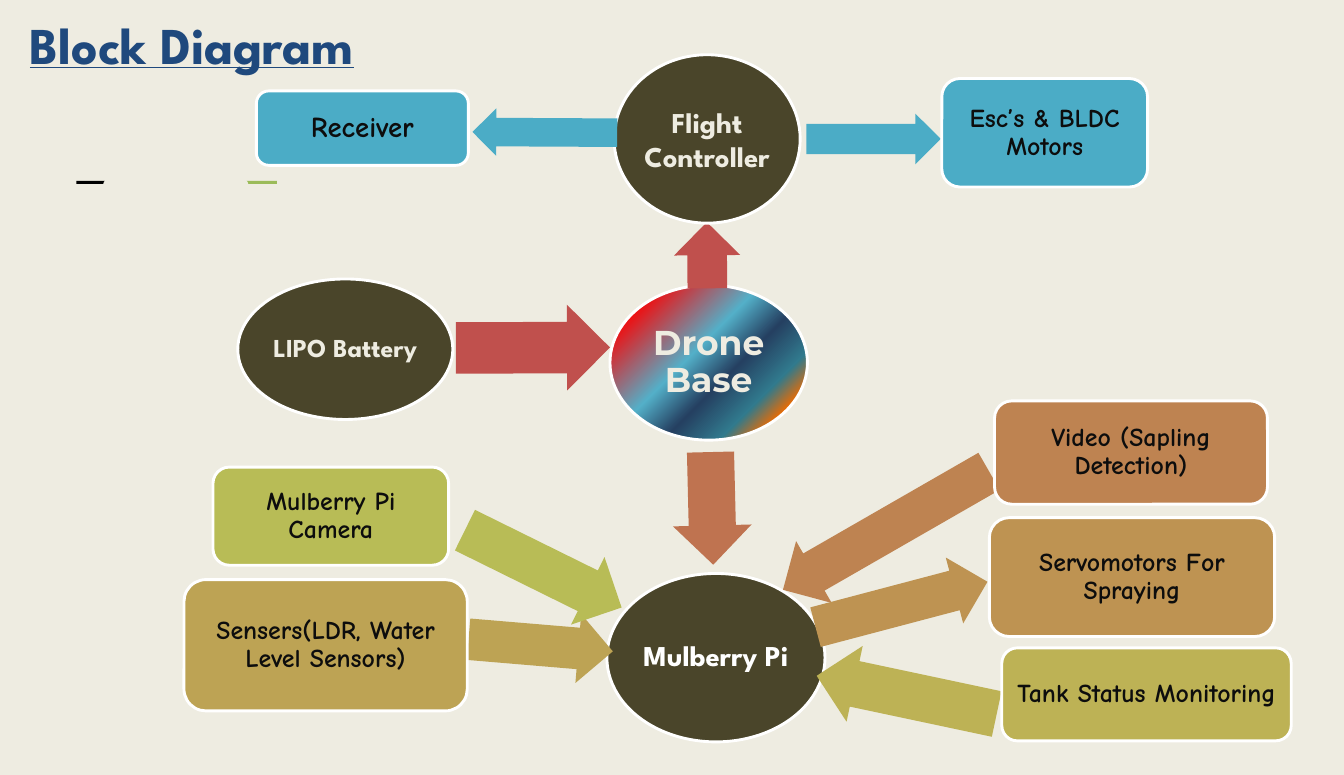
from copy import deepcopy
from dataclasses import dataclass

from pptx import Presentation
from pptx.dml.color import RGBColor
from pptx.enum.shapes import MSO_SHAPE
from pptx.enum.text import MSO_ANCHOR, MSO_AUTO_SIZE, PP_ALIGN
from pptx.oxml.ns import qn
from pptx.util import Inches, Pt

OVAL = MSO_SHAPE.OVAL
ROUNDED = MSO_SHAPE.ROUNDED_RECTANGLE
RECTANGLE = MSO_SHAPE.RECTANGLE
ARROW = MSO_SHAPE.RIGHT_ARROW
MIDDLE, TOP = MSO_ANCHOR.MIDDLE, MSO_ANCHOR.TOP
CENTER, LEFT = PP_ALIGN.CENTER, PP_ALIGN.LEFT
NO_AUTOFIT = MSO_AUTO_SIZE.NONE

Place = tuple[float, float, float, float]


@dataclass(frozen=True)
class Theme:
    paper: str = "EEECE1"
    white: str = "FFFFFF"
    black: str = "000000"
    ink: str = "0D0D0D"
    title: str = "1F497D"
    hub: str = "4A452A"
    red: str = "C0504D"
    blue: str = "4BACC6"
    rust: str = "BF7350"
    copper: str = "BE8351"
    amber: str = "BE9352"
    sand: str = "BDA354"
    olive: str = "BDB255"
    lime: str = "B8BC56"
    green: str = "9BBB59"
    heading_font: str = "League Spartan"
    base_font: str = "Montserrat"
    label_font: str = "Comic Neue"
    title_size: int = 36
    base_size: int = 24
    large: int = 20
    normal: int = 18


THEME = Theme()
BASE_GRADIENT = [(12, "FF0000"), (43, "54B0C9"), (59, "254061"),
                 (75, "317A8E"), (85, "E46C0A"), (93, "E46C0A")]


@dataclass(frozen=True)
class Node:
    text: str
    place: Place
    fill: str
    shape: MSO_SHAPE = ROUNDED
    size: int = THEME.normal
    font: str = THEME.label_font
    color: str = THEME.ink
    spacing: float = 0.9
    inset: float = 0.03


@dataclass(frozen=True)
class Branch:
    arrow: Place
    rotation: float
    arrow_fill: str
    node: Node


def hub(text: str, place: Place, size: int = THEME.large,
        color: str = THEME.paper, spacing: float = 0.9) -> Node:
    return Node(text, place, THEME.hub, OVAL, size, THEME.heading_font,
                color, spacing, inset=0)


BASE = Node("Drone Base", (5.9, 2.76, 1.91, 1.5), THEME.blue, OVAL,
            THEME.base_size, THEME.base_font, THEME.paper)

BRANCHES = [
    Branch((6.52, 2.15, 0.64, 0.64), 269.5, THEME.red,
           hub("Flight Controller", (5.94, 0.53, 1.8, 1.63), spacing=1.0)),
    Branch((7.8, 1.1, 1.3, 0.49), 0, THEME.blue,
           Node("Esc’s & BLDC Motors", (9.11, 0.76, 1.99, 1.05), THEME.blue)),
    Branch((6.34, 4.54, 1.09, 0.76), 88.6, THEME.rust,
           hub("Mulberry Pi", (5.87, 5.55, 2.11, 1.63), color=THEME.white)),
    Branch((7.42, 4.79, 2.3, 0.69), 150.1, THEME.copper,
           Node("Video (Sapling Detection)", (9.62, 3.88, 2.64, 1.0), THEME.copper)),
    Branch((7.86, 5.52, 1.72, 0.66), 345.2, THEME.amber,
           Node("Servomotors For Spraying", (9.57, 5.01, 2.76, 1.15), THEME.amber)),
    Branch((4.53, 5.91, 1.4, 0.67), 4.8, THEME.sand,
           Node("Sensers(LDR, Water Level Sensors)", (1.78, 5.61, 2.74, 1.27), THEME.sand)),
    Branch((7.88, 6.35, 1.78, 0.75), 192, THEME.olive,
           Node("Tank Status Monitoring", (9.69, 6.27, 2.8, 0.9), THEME.olive)),
    Branch((4.41, 5.14, 1.69, 0.73), 26.3, THEME.lime,
           Node("Mulberry Pi Camera", (2.06, 4.52, 2.28, 0.95), THEME.lime)),
    Branch((4.57, 1.05, 1.4, 0.46), 180.3, THEME.blue,
           Node("Receiver", (2.48, 0.88, 2.05, 0.72), THEME.blue, size=THEME.large)),
    Branch((4.41, 2.95, 1.49, 0.83), 359.8, THEME.red,
           hub("LIPO Battery", (2.3, 2.7, 2.08, 1.36), THEME.normal)),
]


def rgb(color: str) -> RGBColor:
    return RGBColor.from_string(color)


def add_filled(page, kind: MSO_SHAPE, place: Place, fill: str, line: str | None = None):
    shape = page.shapes.add_shape(kind, *map(Inches, place))
    shape.shadow.inherit = False
    shape.fill.solid()
    shape.fill.fore_color.rgb = rgb(fill)
    if line:
        shape.line.color.rgb = rgb(line)
        shape.line.width = Pt(2)
    else:
        shape.line.fill.background()
    return shape


def write(frame, text: str, font: str, size: int, color: str, inset: float,
          align: PP_ALIGN, anchor: MSO_ANCHOR, spacing: float = 1.0):
    frame.word_wrap = True
    frame.auto_size = NO_AUTOFIT
    frame.vertical_anchor = anchor
    frame.margin_left = frame.margin_right = Inches(inset)
    frame.margin_top = frame.margin_bottom = Inches(inset)
    para = frame.paragraphs[0]
    para.alignment = align
    para.line_spacing = spacing
    span = para.add_run()
    span.text = text
    span.font.name = font
    span.font.size = Pt(size)
    span.font.bold = True
    span.font.color.rgb = rgb(color)
    return span


def add_node(page, node: Node):
    box = add_filled(page, node.shape, node.place, node.fill, THEME.white)
    write(box.text_frame, node.text, node.font, node.size, node.color,
          node.inset, CENTER, MIDDLE, node.spacing)
    return box


def add_branch(page, branch: Branch) -> None:
    arrow = add_filled(page, ARROW, branch.arrow, branch.arrow_fill)
    arrow.adjustments[0] = 0.6
    arrow.adjustments[1] = 0.5
    arrow.rotation = branch.rotation
    add_node(page, branch.node)


def paint_gradient(shape, stops: list[tuple[int, str]], angle: float) -> None:
    shape.fill.gradient()
    shape.fill.gradient_angle = angle
    stop_list = shape.element.spPr.find(qn("a:gradFill")).find(qn("a:gsLst"))
    pattern = stop_list[0]
    for stop in list(stop_list):
        stop_list.remove(stop)
    for _ in stops:
        stop_list.append(deepcopy(pattern))
    for stop, (position, color) in zip(shape.fill.gradient_stops, stops):
        stop.position = position / 100
        stop.color.rgb = rgb(color)


def main() -> None:
    deck = Presentation()
    deck.slide_width, deck.slide_height = Inches(13), Inches(7.5)
    page = deck.slides.add_slide(deck.slide_layouts[5])
    page.background.fill.solid()
    page.background.fill.fore_color.rgb = rgb(THEME.paper)

    title = page.shapes.title
    title.left, title.top = Inches(0.16), Inches(-0.01)
    title.width, title.height = Inches(10.93), Inches(0.76)
    heading = write(title.text_frame, "Block Diagram", THEME.heading_font,
                    THEME.title_size, THEME.title, 0.13, LEFT, TOP)
    heading.font.underline = True

    for left, color in ((1.71, THEME.green), (0.74, THEME.black)):
        add_filled(page, RECTANGLE, (left, 1.75, 0.97, 0.03), color)
    add_filled(page, OVAL, (1.01, 1.61, 1.38, 0.37), THEME.paper, THEME.paper)

    paint_gradient(add_node(page, BASE), BASE_GRADIENT, 315)
    for branch in BRANCHES:
        add_branch(page, branch)

    deck.save("out.pptx")


main()
